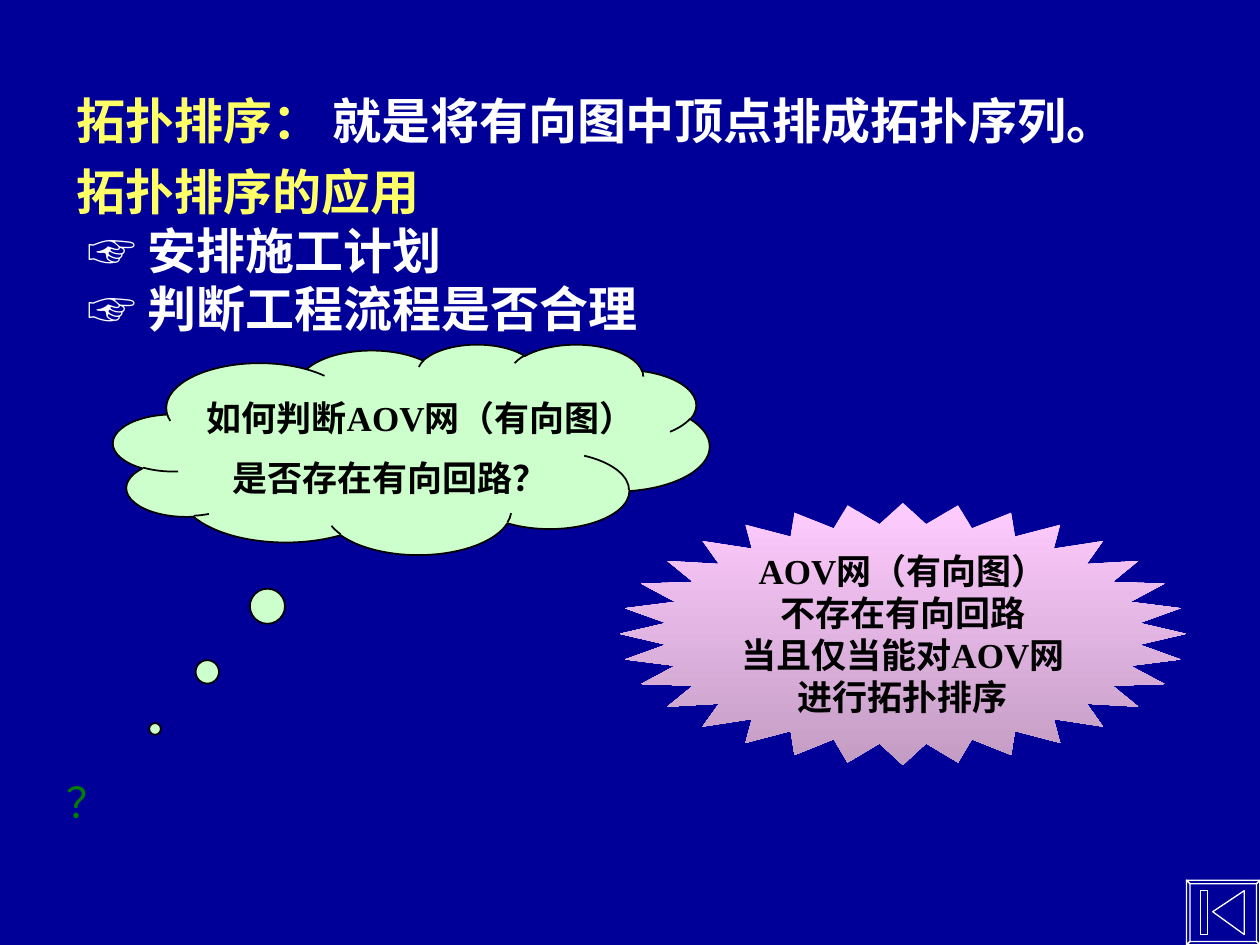
from lxml import etree
from pptx import Presentation
from pptx.dml.color import RGBColor
from pptx.enum.shapes import MSO_SHAPE as SHAPE
from pptx.enum.text import MSO_ANCHOR as ANCHOR, MSO_AUTO_SIZE as AUTO, PP_ALIGN as ALIGN
from pptx.oxml.ns import qn
from pptx.util import Pt

COLORS = {
    "background": "000099", "heading": "FFFF66", "body": "FFFFFF", "black": "000000",
    "cloud": "CCFFCC", "star_top": "FFCCFF", "star_bottom": "C39CC3",
    "question": "66FF66", "question_edge": "008000",
}
CJK = "Noto Sans CJK SC"
SERIF = "Times New Roman"


def rgb(name):
    return RGBColor.from_string(COLORS[name])


def add_run(p, text, size=28, color="body", font=CJK, ea=CJK, bold=True):
    r = p.add_run()
    r.text = text
    r.font.size, r.font.bold, r.font.name = Pt(size), bold, font
    r.font.color.rgb = rgb(color)
    etree.SubElement(r._r.get_or_add_rPr(), qn("a:ea")).set("typeface", ea)
    return r


def text_frame(sp, wrap=True, anchor=ANCHOR.TOP, auto=AUTO.NONE):
    tf = sp.text_frame
    tf.word_wrap, tf.vertical_anchor, tf.auto_size = wrap, anchor, auto
    return tf


def fill_lines(tf, lines, align=ALIGN.LEFT, spacing=None, before=0, **fmt):
    """Write one paragraph per text and return the paragraphs."""
    for i, text in enumerate(lines):
        p = tf.paragraphs[0] if i == 0 else tf.add_paragraph()
        p.alignment, p.space_before = align, Pt(before)
        if spacing:
            p.line_spacing = spacing
        add_run(p, text, **fmt)
    return tf.paragraphs


def add_definition(s, x, y, w, h):
    tf = text_frame(s.shapes.add_textbox(Pt(x), Pt(y), Pt(w), Pt(h)),
                    auto=AUTO.SHAPE_TO_FIT_TEXT)
    p, = fill_lines(tf, ["拓扑排序："], spacing=1.15, before=17.5, color="heading")
    add_run(p, " 就是将有向图中顶点排成拓扑序列。")


def add_applications(s, x, y, w, h):
    tf = text_frame(s.shapes.add_textbox(Pt(x), Pt(y), Pt(w), Pt(h)),
                    auto=AUTO.SHAPE_TO_FIT_TEXT)
    fill_lines(tf, ["拓扑排序的应用"], color="heading")
    for use in ("安排施工计划", "判断工程流程是否合理"):
        p = tf.add_paragraph()
        add_run(p, " ")
        add_run(p, "☞", font="Arial", ea="Arial")
        add_run(p, " " + use)


def add_cloud(s, x, y, w, h):
    sp = s.shapes.add_shape(SHAPE.CLOUD_CALLOUT, Pt(x), Pt(y), Pt(w), Pt(h))
    sp.shadow.inherit = False
    sp.adjustments[0], sp.adjustments[1] = -0.43, 1.33
    sp.fill.solid()
    sp.fill.fore_color.rgb = rgb("cloud")
    sp.line.color.rgb, sp.line.width = rgb("black"), Pt(1)
    tf = text_frame(sp, wrap=False, anchor=ANCHOR.MIDDLE)
    first, _ = fill_lines(tf, ["如何判断AOV网（有向图）", "是否存在有向回路？"],
                          align=ALIGN.CENTER, spacing=1.15, before=6.2,
                          size=20, color="black", font=SERIF)
    # The first line sits a little to the right of the second
    first._p.get_or_add_pPr().set("marL", str(Pt(35)))


def add_question(s, x, y, w, h):
    tf = text_frame(s.shapes.add_textbox(Pt(x), Pt(y), Pt(w), Pt(h)), wrap=False)
    p, = fill_lines(tf, ["？"], size=24, color="question", bold=False)
    # Half transparent glyph with a dark outline
    rPr = p.runs[0]._r.get_or_add_rPr()
    etree.SubElement(rPr.find(".//" + qn("a:srgbClr")), qn("a:alpha")).set("val", "50000")
    ln = etree.Element(qn("a:ln"), w=str(Pt(1)))
    edge = etree.SubElement(ln, qn("a:solidFill"))
    etree.SubElement(edge, qn("a:srgbClr")).set("val", COLORS["question_edge"])
    rPr.insert(0, ln)


def add_star(s, x, y, w, h):
    sp = s.shapes.add_shape(SHAPE.STAR_32_POINT, Pt(x), Pt(y), Pt(w), Pt(h))
    sp.shadow.inherit = False
    sp.adjustments[0] = 0.42
    sp.line.fill.background()
    sp.fill.gradient()
    sp.fill.gradient_angle = 270
    for stop, pos, name in zip(sp.fill.gradient_stops, (0, 1), ("star_top", "star_bottom")):
        stop.position, stop.color.rgb = pos, rgb(name)
    tf = text_frame(sp, wrap=False, anchor=ANCHOR.MIDDLE)
    fill_lines(tf, ["AOV网（有向图）", "不存在有向回路", "当且仅当能对AOV网", "进行拓扑排序"],
               align=ALIGN.CENTER, size=20, color="black", font=SERIF)


def add_back_button(s, x, y, w, h, bevel=2.3):
    def corners(left, top, right, bottom):
        return [(left, top), (right, top), (right, bottom), (left, bottom)]

    outer = corners(x, y, x + w, y + h)
    inner = corners(x + bevel, y + bevel, x + w - bevel, y + h - bevel)
    mid, top, bottom = y + h / 2, y + h / 2 - 12.2, y + h / 2 + 12.2
    bar = corners(x + 9, top, x + 12, bottom)
    arrow = [(x + 15.2, mid), (x + 33.4, top), (x + 33.4, bottom)]
    # Outer frame, four bevelled sides, then the icon
    sides = [[outer[i], outer[i - 1], inner[i - 1], inner[i]] for i in range(4)]
    first, *rest = [outer, *sides, arrow, bar]

    fb = s.shapes.build_freeform(*first[0], scale=Pt(1))
    fb.add_line_segments(first[1:], close=True)
    for outline in rest:
        fb.move_to(*outline[0])
        fb.add_line_segments(outline[1:], close=True)
    sp = fb.convert_to_shape()
    sp.shadow.inherit = False
    sp.fill.background()
    sp.line.color.rgb, sp.line.width = rgb("body"), Pt(0.75)


def main():
    prs = Presentation()
    prs.slide_width, prs.slide_height = Pt(720), Pt(540)
    s = prs.slides.add_slide(prs.slide_layouts[6])
    s.background.fill.solid()
    s.background.fill.fore_color.rgb = rgb("background")

    add_definition(s, 36.7, 43.2, 646.6, 46.1)
    add_cloud(s, 64.8, 196.6, 340.6, 120.2)
    add_question(s, 31, 439.9, 84.2, 36)
    add_star(s, 354.2, 287.3, 323.5, 149.8)
    add_applications(s, 36.7, 88.6, 419.8, 108)
    add_back_button(s, 677.5, 502.6, 42.5, 37.4)
    prs.save("out.pptx")


if __name__ == "__main__":
    main()
